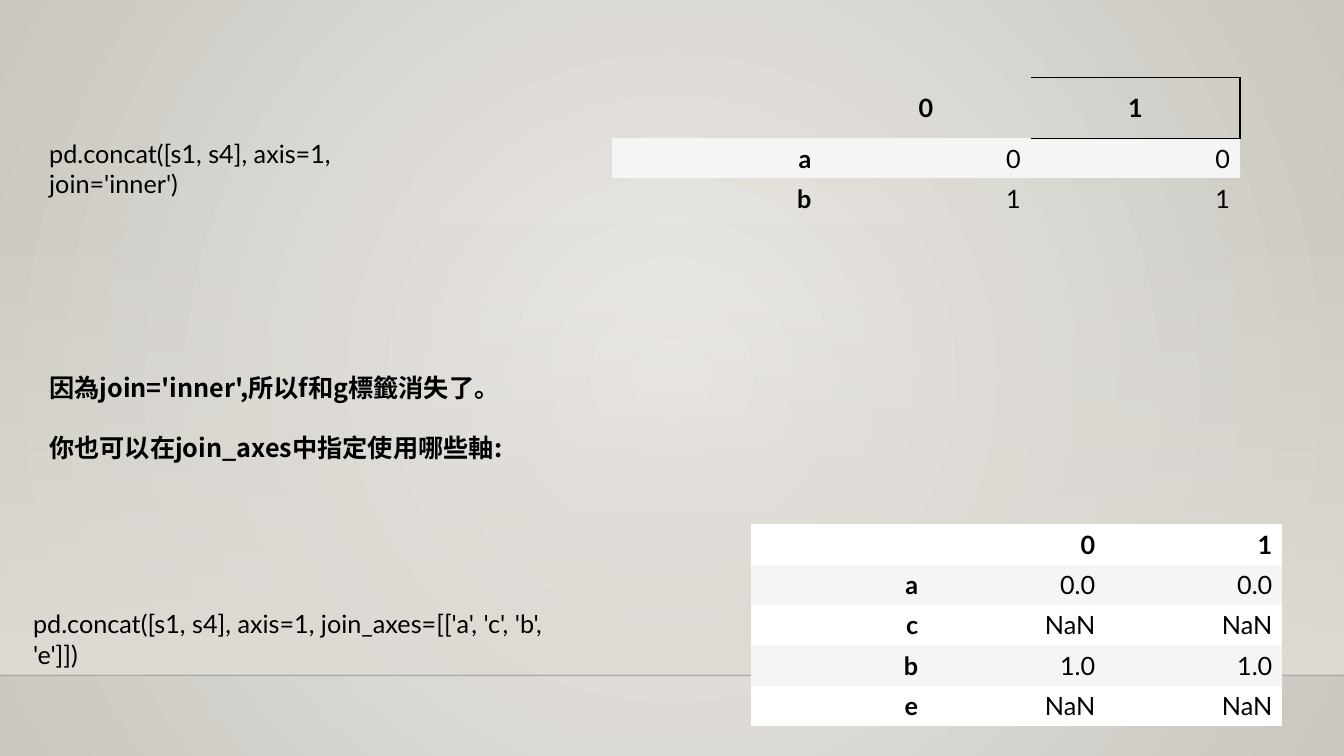
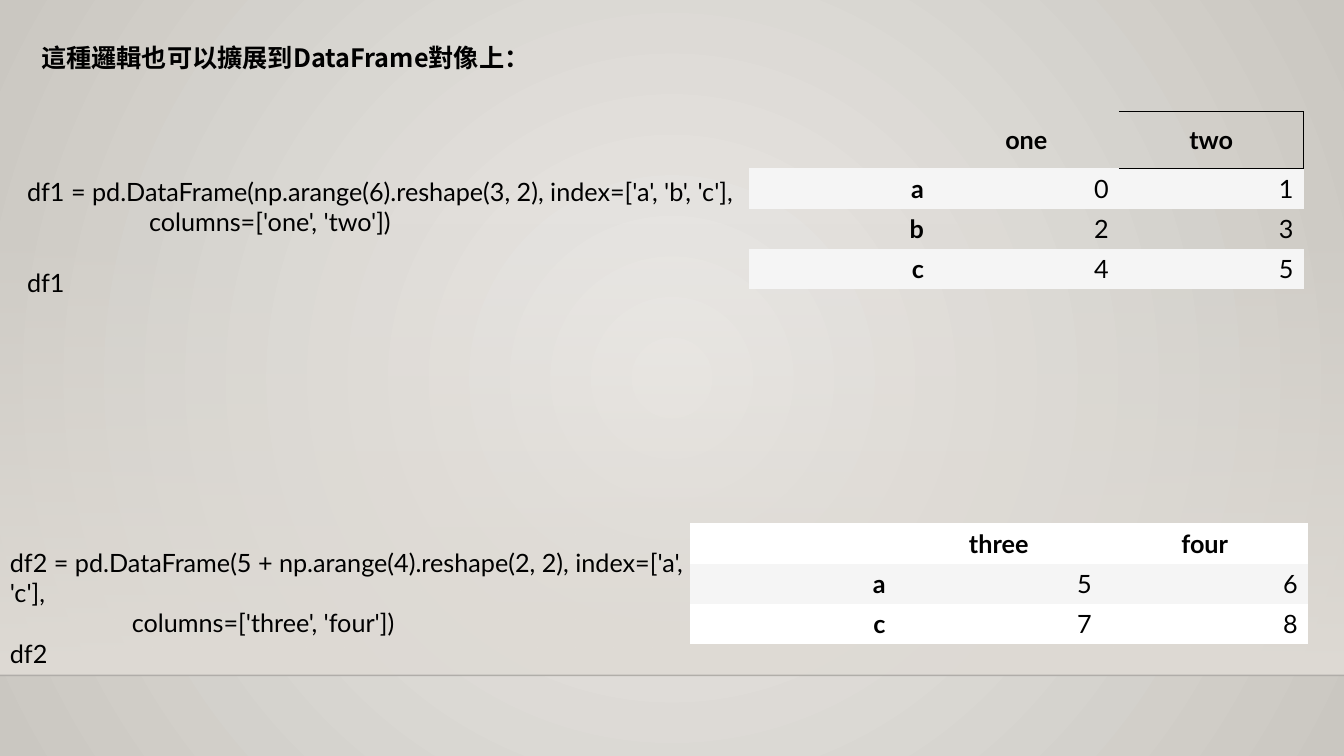
"""Builds two slides on joining pandas objects, with code samples and result tables."""
import dataclasses

import lxml.etree
import pptx
import pptx.dml.color
import pptx.enum.shapes
import pptx.enum.text
import pptx.oxml.ns
import pptx.util

Inches = pptx.util.Inches
Pt = pptx.util.Pt
Align = pptx.enum.text.PP_ALIGN
qn = pptx.oxml.ns.qn


@dataclasses.dataclass(frozen=True)
class Theme:
    text: str = "000000"
    center: str = "ECEAE7"
    edge: str = "CAC7C1"
    band: str = "DFDBD5"
    floor_line: str = "000001"
    stripe: str = "F5F5F5"
    paper: str = "FFFFFF"
    code_font: str = "Lato"
    note_font: str = "Noto Sans CJK SC"
    size: float = 18
    leading: float = 21.6
    table_style: str = "{2D5ABB26-0587-4C30-8999-92F81FD0307C}"


@dataclasses.dataclass(frozen=True)
class Line:
    text: str
    indent: float = 0
    gap: float = 0


THEME = Theme()
WIDTH, HEIGHT = 13.33, 7.5
FLOOR = 6.7
BAND_TOP = 2.21
ROW_HEIGHT = 0.4
CODE_INDENT = 1.21


def rgb(value):
    return pptx.dml.color.RGBColor.from_string(value)


def set_opacity(fill_element, percent):
    color = fill_element.find(qn("a:srgbClr"))
    lxml.etree.SubElement(color, qn("a:alpha")).set("val", str(percent * 1000))


def set_gradient(fill, start, end):
    fill.gradient()
    for stop, color in zip(fill.gradient_stops, (start, end)):
        stop.color.rgb = rgb(color)


def set_background(master):
    set_gradient(master.background.fill, THEME.center, THEME.edge)
    gradient = next(master.element.iter(qn("a:gradFill")))
    gradient.remove(gradient.find(qn("a:lin")))
    circle = lxml.etree.SubElement(gradient, qn("a:path"))
    circle.set("path", "circle")
    focus = lxml.etree.SubElement(circle, qn("a:fillToRect"))
    for side in "ltrb":
        focus.set(side, "50000")


def add_floor(slide):
    band = slide.shapes.add_shape(
        pptx.enum.shapes.MSO_SHAPE.RECTANGLE,
        Inches(0), Inches(BAND_TOP), Inches(WIDTH), Inches(FLOOR - BAND_TOP))
    band.shadow.inherit = False
    band.line.fill.background()
    set_gradient(band.fill, THEME.band, THEME.band)
    band.fill.gradient_angle = 270
    set_opacity(next(band.element.iter(qn("a:gs"))), 0)

    edge = slide.shapes.add_connector(
        pptx.enum.shapes.MSO_CONNECTOR.STRAIGHT,
        Inches(0), Inches(FLOOR), Inches(WIDTH), Inches(FLOOR))
    edge.line.width = Pt(1)
    edge.line.color.rgb = rgb(THEME.floor_line)
    properties = edge.element.spPr
    set_opacity(properties.find(qn("a:ln")).find(qn("a:solidFill")), 20)
    lxml.etree.SubElement(properties, qn("a:effectLst"))


def style_paragraph(paragraph, font_name, bold):
    font = paragraph.font
    font.size = Pt(THEME.size)
    font.bold = bold
    font.color.rgb = rgb(THEME.text)
    font.name = font_name
    latin = next(paragraph._p.iter(qn("a:latin")))
    east_asian = lxml.etree.Element(qn("a:ea"))
    east_asian.set("typeface", font_name)
    latin.addnext(east_asian)


def add_text(slide, left, top, width, lines, font_name, bold):
    height = sum(line.gap + THEME.leading for line in lines) / 72 + 0.1
    box = slide.shapes.add_textbox(
        Inches(left), Inches(top), Inches(width), Inches(height))
    frame = box.text_frame
    frame.word_wrap = True
    for index, line in enumerate(lines):
        paragraph = frame.add_paragraph() if index else frame.paragraphs[0]
        paragraph.text = line.text
        paragraph.line_spacing = Pt(THEME.leading)
        paragraph.space_before = Pt(line.gap)
        style_paragraph(paragraph, font_name, bold)
        if line.indent:
            properties = paragraph._p.get_or_add_pPr()
            properties.set("marL", str(Inches(line.indent)))
            properties.set("indent", "0")


def add_code(slide, left, top, width, *lines):
    add_text(slide, left, top, width, lines, THEME.code_font, False)


def add_note(slide, left, top, width, *lines):
    add_text(slide, left, top, width, lines, THEME.note_font, True)


def outline_cell(cell):
    properties = cell._tc.get_or_add_tcPr()
    for index, side in enumerate(("a:lnR", "a:lnT", "a:lnB")):
        border = lxml.etree.Element(qn(side))
        border.set("w", str(Pt(1)))
        fill = lxml.etree.SubElement(border, qn("a:solidFill"))
        lxml.etree.SubElement(fill, qn("a:srgbClr")).set("val", THEME.text)
        properties.insert(index, border)


def fill_cell(cell, color):
    if color:
        cell.fill.solid()
        cell.fill.fore_color.rgb = rgb(color)
    else:
        cell.fill.background()


def add_frame_table(slide, left, top, width, rows, header_height=ROW_HEIGHT,
                    header_align=Align.CENTER, paper=None, outlined=False):
    heights = [header_height] + [ROW_HEIGHT] * (len(rows) - 1)
    columns = len(rows[0])
    graphic = slide.shapes.add_table(
        len(rows), columns, Inches(left), Inches(top),
        Inches(width), Inches(sum(heights)))
    table = graphic.table
    table.first_row = table.horz_banding = False
    table._tbl.tblPr.find(qn("a:tableStyleId")).text = THEME.table_style
    for column in table.columns:
        column.width = Inches(width / columns)
    for r, values in enumerate(rows):
        table.rows[r].height = Inches(heights[r])
        for c, value in enumerate(values):
            cell = table.cell(r, c)
            cell.vertical_anchor = pptx.enum.text.MSO_ANCHOR.MIDDLE
            fill_cell(cell, THEME.stripe if r % 2 else paper)
            paragraph = cell.text_frame.paragraphs[0]
            paragraph.text = value
            paragraph.alignment = Align.RIGHT if r else header_align
            style_paragraph(paragraph, THEME.code_font, r == 0 or c == 0)
    if outlined:
        outline_cell(table.cell(0, columns - 1))


def add_slide(presentation):
    slide = presentation.slides.add_slide(presentation.slide_layouts[6])
    add_floor(slide)
    return slide


def build_join_slide(presentation):
    slide = add_slide(presentation)
    add_code(slide, 0.39, 1.32, 4.13,
             Line("pd.concat([s1, s4], axis=1, join='inner')"))
    add_frame_table(slide, 6.07, 0.77, 6.23,
                    [["", "0", "1"], ["a", "0", "0"], ["b", "1", "1"]],
                    header_height=0.6, outlined=True)
    add_note(slide, 0.39, 3.64, 5.4,
             Line("因為join='inner',所以f和g標籤消失了。".replace(",", ",")),
             Line("你也可以在join_axes中指定使用哪些軸:".replace(":", ":"),
                  gap=THEME.leading))
    add_code(slide, 0.23, 5.99, 5.66,
             Line("pd.concat([s1, s4], axis=1, join_axes=[['a', 'c', 'b', 'e']])"))
    add_frame_table(slide, 7.45, 5.2, 5.27,
                    [["", "0", "1"], ["a", "0.0", "0.0"], ["c", "NaN", "NaN"],
                     ["b", "1.0", "1.0"], ["e", "NaN", "NaN"]],
                    header_align=Align.RIGHT, paper=THEME.paper)


def build_dataframe_slide(presentation):
    slide = add_slide(presentation)
    add_note(slide, 0.31, 0.37, 4.86,
             Line("這種邏輯也可以擴展到DataFrame對像上\uff1a"))
    add_code(slide, 0.17, 1.7, 7.26,
             Line("df1 = pd.DataFrame(np.arange(6).reshape(3, 2), index=['a', 'b', 'c'],"),
             Line("columns=['one', 'two'])", indent=CODE_INDENT),
             Line("df1", gap=THEME.leading))
    add_frame_table(slide, 7.43, 1.11, 5.5,
                    [["", "one", "two"], ["a", "0", "1"],
                     ["b", "2", "3"], ["c", "4", "5"]],
                    header_height=0.56, outlined=True)
    add_code(slide, 0, 5.38, 7.16,
             Line("df2 = pd.DataFrame(5 + np.arange(4).reshape(2, 2), index=['a', 'c'],"),
             Line("columns=['three', 'four'])", indent=CODE_INDENT),
             Line("df2"))
    add_frame_table(slide, 6.84, 5.19, 6.13,
                    [["", "three", "four"], ["a", "5", "6"], ["c", "7", "8"]],
                    paper=THEME.paper)


def main():
    presentation = pptx.Presentation()
    presentation.slide_width = Inches(WIDTH)
    presentation.slide_height = Inches(HEIGHT)
    set_background(presentation.slide_master)
    build_join_slide(presentation)
    build_dataframe_slide(presentation)
    presentation.save("out.pptx")


main()
